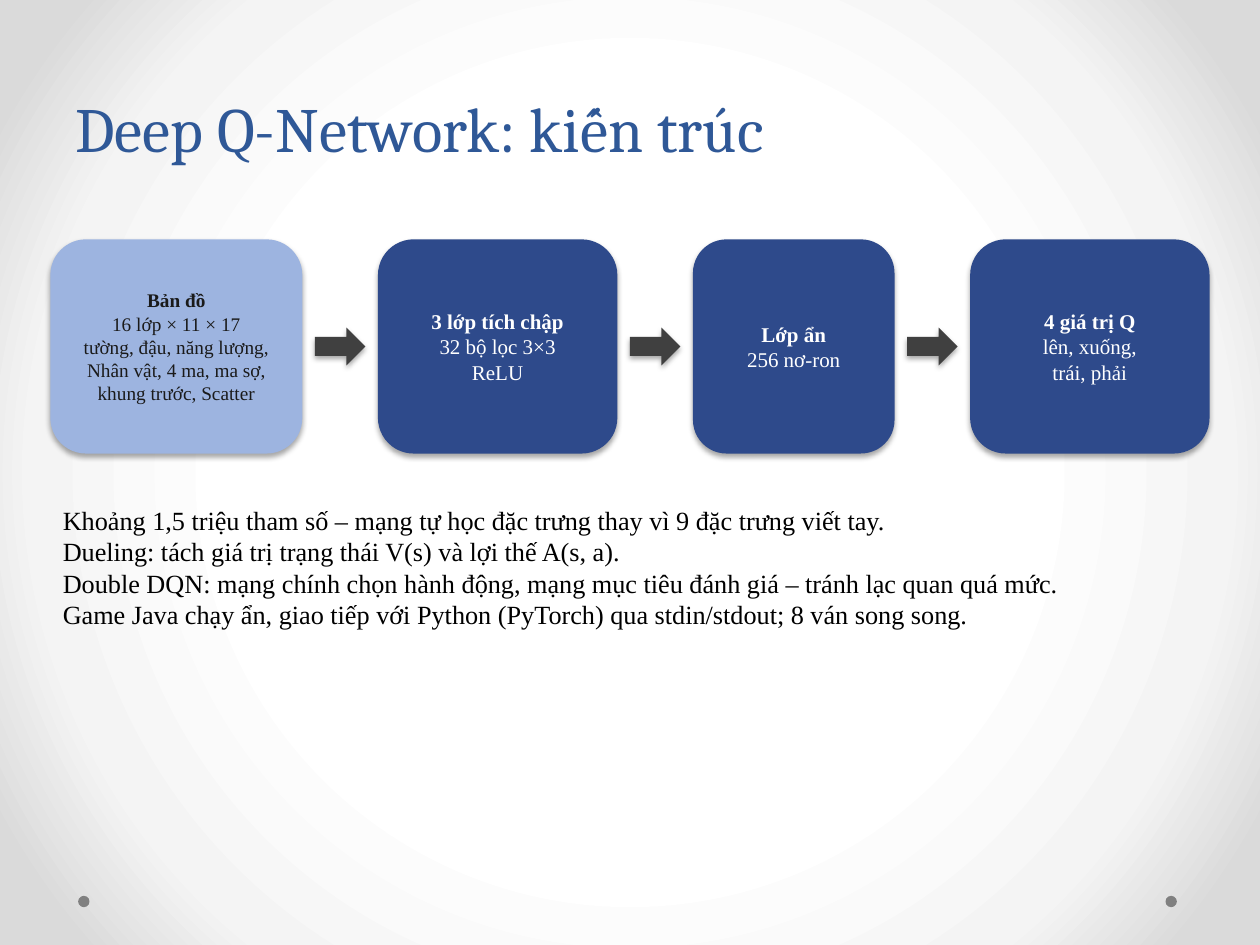
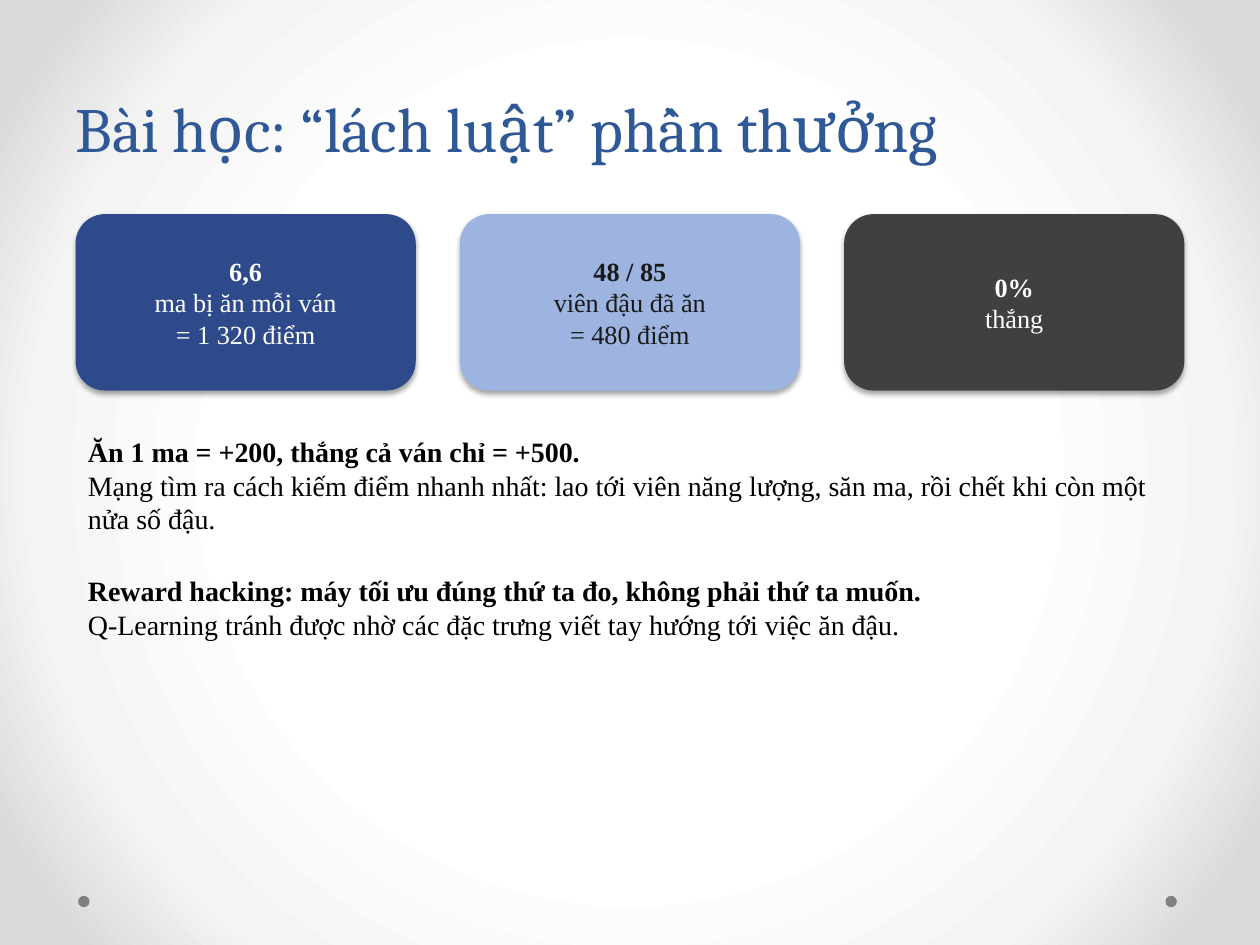
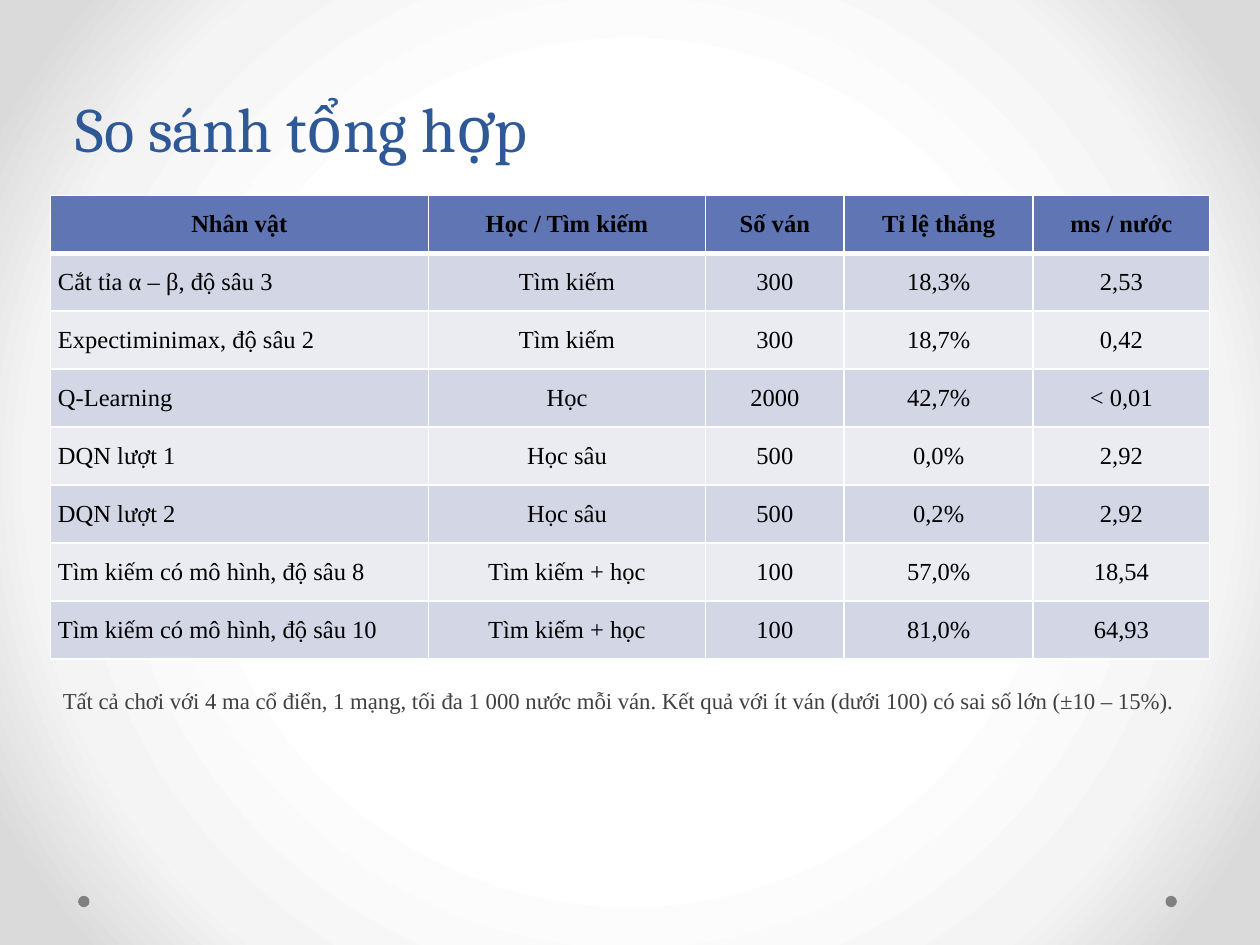
from pptx import Presentation
from pptx.dml.color import RGBColor
from pptx.enum.shapes import MSO_SHAPE as SHAPE
from pptx.enum.text import MSO_ANCHOR as ANCHOR, MSO_AUTO_SIZE as AUTO, PP_ALIGN as ALIGN
from pptx.oxml import parse_xml
from pptx.oxml.ns import nsdecls, qn
from pptx.util import Inches, Pt

W, H = 10, 7.5
MARGIN = 0.04 * W
COLORS = {
    "title": "2F5897", "navy": "2E4A8B", "sky": "9DB4E0", "gray": "404040",
    "ink": "1A1A1A", "black": "000000", "white": "FFFFFF", "dot": "808080",
    "header": "6076B4", "band_dark": "D2D6E5", "band_light": "EAECF2",
    "mist": "F4F4F4", "edge": "DADADA",
}
BACKDROP = [(50, "white"), (76, "mist"), (92, "edge")]
TITLE_FONT, BODY_FONT = "Cambria", "Times New Roman"
TITLE_BOX = (0.5, 0.36, 9, 1)
DOT = 0.09
SHADOW = (
    f'<a:outerShdw {nsdecls("a")} blurRad="{Pt(3.1)}" dist="{Pt(1.8)}" dir="5400000" rotWithShape="0">'
    f'<a:srgbClr val="{COLORS["black"]}"><a:alpha val="35000"/></a:srgbClr></a:outerShdw>'
)

NETWORK = [
    (2, "sky", 11, ["Bản đồ", "16 lớp × 11 × 17", "tường, đậu, năng lượng,",
                    "Nhân vật, 4 ma, ma sợ,", "khung trước, Scatter"]),
    (1.9, "navy", 12, ["3 lớp tích chập", "32 bộ lọc 3×3", "ReLU"]),
    (1.6, "navy", 12, ["Lớp ẩn", "256 nơ-ron"]),
    (1.9, "navy", 12, ["4 giá trị Q", "lên, xuống,", "trái, phải"]),
]
NETWORK_NOTES = [
    {"text": "Khoảng 1,5 triệu tham số – mạng tự học đặc trưng thay vì 9 đặc trưng viết tay."},
    {"text": "Dueling: tách giá trị trạng thái V(s) và lợi thế A(s, a)."},
    {"text": "Double DQN: mạng chính chọn hành động, mạng mục tiêu đánh giá – tránh lạc quan quá mức."},
    {"text": "Game Java chạy ẩn, giao tiếp với Python (PyTorch) qua stdin/stdout; 8 ván song song."},
]
REWARDS = [
    ("navy", ["6,6", "ma bị ăn mỗi ván", "= 1 320 điểm"]),
    ("sky", ["48 / 85", "viên đậu đã ăn", "= 480 điểm"]),
    ("gray", ["0%", "thắng"]),
]
REWARD_NOTES = [
    {"text": "Ăn 1 ma = +200, thắng cả ván chỉ = +500.", "bold": True},
    {"text": "Mạng tìm ra cách kiếm điểm nhanh nhất: lao tới viên năng lượng, săn ma, "
             "rồi chết khi còn một nửa số đậu."},
    {"text": "Reward hacking: máy tối ưu đúng thứ ta đo, không phải thứ ta muốn.",
     "bold": True, "before": 22},
    {"text": "Q-Learning tránh được nhờ các đặc trưng viết tay hướng tới việc ăn đậu."},
]
COLUMN_WIDTHS = [3, 2.2, 1.1, 1.5, 1.4]
RESULTS = [
    ["Nhân vật", "Học / Tìm kiếm", "Số ván", "Tỉ lệ thắng", "ms / nước"],
    ["Cắt tỉa α – β, độ sâu 3", "Tìm kiếm", "300", "18,3%", "2,53"],
    ["Expectiminimax, độ sâu 2", "Tìm kiếm", "300", "18,7%", "0,42"],
    ["Q-Learning", "Học", "2000", "42,7%", "< 0,01"],
    ["DQN lượt 1", "Học sâu", "500", "0,0%", "2,92"],
    ["DQN lượt 2", "Học sâu", "500", "0,2%", "2,92"],
    ["Tìm kiếm có mô hình, độ sâu 8", "Tìm kiếm + học", "100", "57,0%", "18,54"],
    ["Tìm kiếm có mô hình, độ sâu 10", "Tìm kiếm + học", "100", "81,0%", "64,93"],
]
RESULTS_NOTE = [
    {"text": "Tất cả chơi với 4 ma cổ điển, 1 mạng, tối đa 1 000 nước mỗi ván. "
             "Kết quả với ít ván (dưới 100) có sai số lớn (±10 – 15%)."},
]


def rgb(name):
    """Return the named colour."""
    return RGBColor.from_string(COLORS[name])


def apply(obj, **values):
    """Set several attributes of an object."""
    for name, value in values.items():
        setattr(obj, name, value)


def write(p, text, size, color, bold=False, font=BODY_FONT, **layout):
    """Put one formatted run into a paragraph."""
    apply(p, **layout)
    r = p.add_run()
    r.text = text
    apply(r.font, name=font, size=Pt(size), bold=bold)
    r.font.color.rgb = rgb(color)


def paragraphs(tf, count):
    """Return the frame's first paragraph followed by new ones."""
    return [tf.paragraphs[0]] + [tf.add_paragraph() for _ in range(count - 1)]


def add_solid(s, kind, box, fill, shadow=True):
    """Draw a filled preset shape without outline."""
    sp = s.shapes.add_shape(kind, *map(Inches, box))
    sp.fill.solid()
    sp.fill.fore_color.rgb = rgb(fill)
    sp.line.fill.background()
    sp.shadow.inherit = False
    if shadow:
        sp.element.spPr.find(qn("a:effectLst")).append(parse_xml(SHADOW))
    return sp


def add_card(s, box, fill, size, lines):
    """Draw a rounded card with a bold first line."""
    tf = add_solid(s, SHAPE.ROUNDED_RECTANGLE, box, fill).text_frame
    inset = Inches(0.05)
    apply(tf, word_wrap=True, vertical_anchor=ANCHOR.MIDDLE, margin_left=inset,
          margin_right=inset, margin_top=inset, margin_bottom=inset)
    color = "ink" if fill == "sky" else "white"
    for i, (p, line) in enumerate(zip(paragraphs(tf, len(lines)), lines)):
        write(p, line, size, color, bold=i == 0, alignment=ALIGN.CENTER)


def add_notes(s, box, notes, size, color="black"):
    """Write a block of paragraphs below a figure."""
    tf = s.shapes.add_textbox(*map(Inches, box)).text_frame
    apply(tf, word_wrap=True, auto_size=AUTO.SHAPE_TO_FIT_TEXT)
    for p, note in zip(paragraphs(tf, len(notes)), notes):
        write(p, note["text"], size, color, note.get("bold", False))
        if "before" in note:
            p.space_before = Pt(note["before"])


def add_flow(s, box, steps, gap=0.1, arrow_w=0.4, arrow_h=0.3):
    """Lay cards from left to right with an arrow between neighbours."""
    x, y, _, h = box
    for i, (w, fill, size, lines) in enumerate(steps):
        if i:
            add_solid(s, SHAPE.RIGHT_ARROW, (x + gap, y + (h - arrow_h) / 2, arrow_w, arrow_h), "gray")
            x += arrow_w + 2 * gap
        add_card(s, (x, y, w, h), fill, size, lines)
        x += w


def add_card_row(s, box, cards, gap=0.35):
    """Lay equal cards across a box."""
    x, y, w, h = box
    card_w = (w - gap * (len(cards) - 1)) / len(cards)
    for i, (fill, lines) in enumerate(cards):
        add_card(s, (x + i * (card_w + gap), y, card_w, h), fill, 15, lines)


def set_borders(cell, top, bottom):
    """Give a cell white borders, with its own top and bottom widths."""
    tcPr = cell._tc.get_or_add_tcPr()
    for side, width in zip("LRTB", (1, 1, top, bottom)):
        tcPr.append(parse_xml(
            f'<a:ln{side} {nsdecls("a")} w="{Pt(width)}"><a:solidFill>'
            f'<a:srgbClr val="{COLORS["white"]}"/></a:solidFill></a:ln{side}>'))


def add_results(s, box, rows):
    """Build the banded results table."""
    table = s.shapes.add_table(len(rows), len(rows[0]), *map(Inches, box)).table
    for column, width in zip(table.columns, COLUMN_WIDTHS):
        column.width = Inches(width)
    for i, row in enumerate(rows):
        fill = "header" if i == 0 else "band_dark" if i % 2 else "band_light"
        for j, text in enumerate(row):
            cell = table.cell(i, j)
            set_borders(cell, top=3 if i == 1 else 1, bottom=3 if i == 0 else 1)
            cell.fill.solid()
            cell.fill.fore_color.rgb = rgb(fill)
            apply(cell, vertical_anchor=ANCHOR.MIDDLE, margin_left=Inches(0.06),
                  margin_right=Inches(0.06), margin_top=Inches(0.05), margin_bottom=Inches(0.05))
            write(cell.text_frame.paragraphs[0], text, 14, "black", bold=i == 0,
                  alignment=ALIGN.CENTER if i == 0 or j else ALIGN.LEFT)


def add_titled_slide(prs, title):
    """Add a title-only slide and format its title."""
    s = prs.slides.add_slide(prs.slide_layouts[5])
    sp = s.shapes.title
    apply(sp, **dict(zip(("left", "top", "width", "height"), map(Inches, TITLE_BOX))))
    tf = sp.text_frame
    apply(tf, word_wrap=True, auto_size=AUTO.NONE, vertical_anchor=ANCHOR.BOTTOM)
    write(tf.paragraphs[0], title, 36, "title", font=TITLE_FONT,
          alignment=ALIGN.LEFT, line_spacing=Pt(58))
    return s


def dress_master(prs, s):
    """Give the master its radial backdrop and two corner dots."""
    master = prs.slide_master
    master.background.fill.gradient()
    grad = master.element.find(".//" + qn("a:gradFill"))
    stops = "".join(f'<a:gs pos="{pos * 1000}"><a:srgbClr val="{COLORS[name]}"/></a:gs>'
                    for pos, name in BACKDROP)
    grad.getparent().replace(grad, parse_xml(
        f'<a:gradFill {nsdecls("a")} rotWithShape="1"><a:gsLst>{stops}</a:gsLst><a:path path="circle">'
        '<a:fillToRect l="50000" t="50000" r="50000" b="50000"/></a:path></a:gradFill>'))
    for i, x in enumerate((0.62, 9.25)):
        dot = add_solid(s, SHAPE.OVAL, (x, 7.11, DOT, DOT), "dot", shadow=False).element
        dot.nvSpPr.cNvPr.set("id", str(100 + i))
        master.shapes.element.append(dot)


def network_slide(prs):
    """Show the network as a flow of layers."""
    s = add_titled_slide(prs, "Deep Q-Network: kiến trúc")
    dress_master(prs, s)
    add_flow(s, (MARGIN, 1.9, W - 2 * MARGIN, 1.7), NETWORK)
    add_notes(s, (MARGIN, 3.95, W - 2 * MARGIN, 2.4), NETWORK_NOTES, 15)


def reward_slide(prs):
    """Show the reward figures and the lesson."""
    s = add_titled_slide(prs, "Bài học: “lách luật” phần thưởng")
    margin = 0.06 * W
    add_card_row(s, (margin, 1.7, W - 2 * margin, 1.4), REWARDS)
    add_notes(s, (margin, 3.4, W - 2 * margin, 3), REWARD_NOTES, 16)


def results_slide(prs):
    """Compare all methods in a table."""
    s = add_titled_slide(prs, "So sánh tổng hợp")
    add_results(s, (MARGIN, 1.55, W - 2 * MARGIN, 0.46 * len(RESULTS)), RESULTS)
    add_notes(s, (MARGIN, 5.4, W - 2 * MARGIN, 1), RESULTS_NOTE, 13, "gray")


def main():
    """Build and save the deck."""
    prs = Presentation()
    apply(prs, slide_width=Inches(W), slide_height=Inches(H))
    for build in (network_slide, reward_slide, results_slide):
        build(prs)
    prs.save("out.pptx")


if __name__ == "__main__":
    main()
